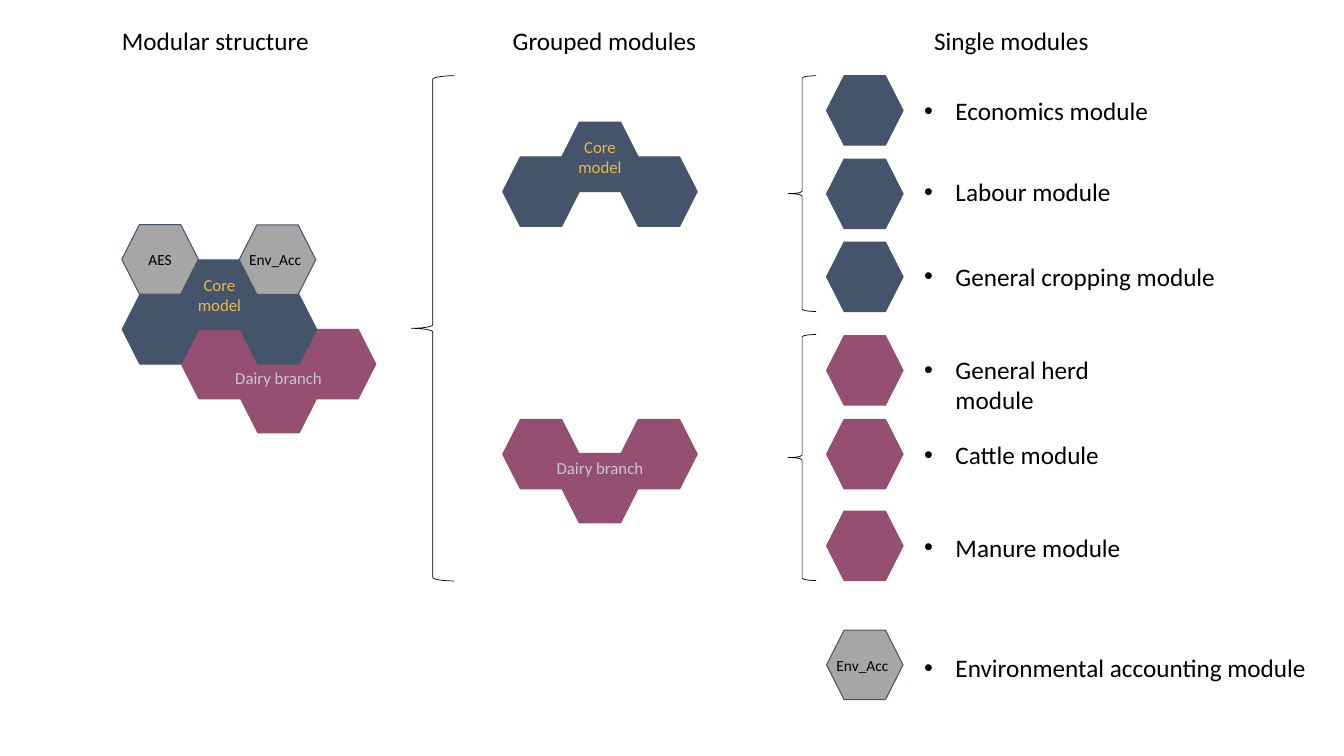
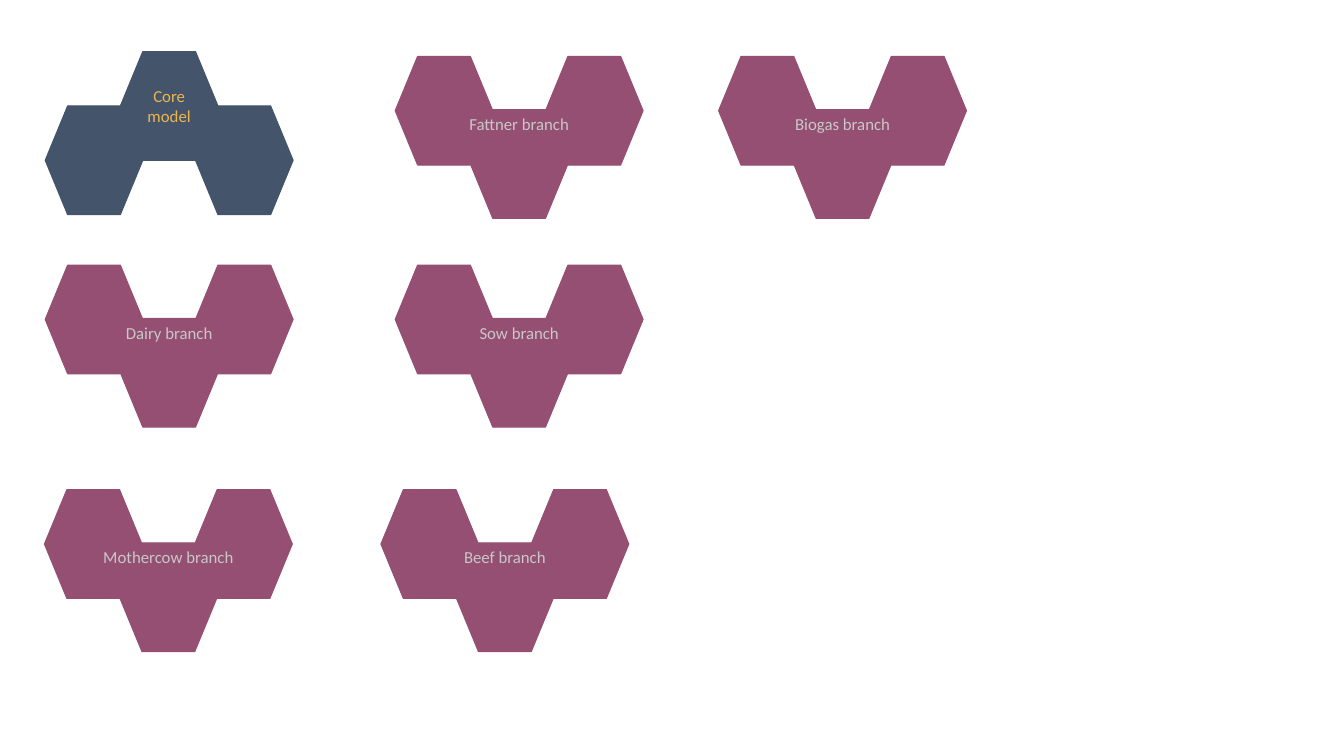
import collections
import pptx
import pptx.dml.color
import pptx.enum.shapes
import pptx.enum.text
import pptx.util
from lxml import etree
from pptx.oxml.ns import qn

Cm = pptx.util.Cm
Pt = pptx.util.Pt
RGBColor = pptx.dml.color.RGBColor
Align = pptx.enum.text.PP_ALIGN
Anchor = pptx.enum.text.MSO_ANCHOR

NAVY = RGBColor(0x44, 0x54, 0x6A)
PLUM = RGBColor(0x95, 0x4F, 0x72)
GREY = RGBColor(0xA6, 0xA6, 0xA6)
GOLD = RGBColor(0xEC, 0xB5, 0x4E)
SILVER = RGBColor(0xC8, 0xC8, 0xC8)
BLACK = RGBColor(0, 0, 0)
FONT = "Calibri"

# Proportions of one hexagon and of a cluster of three
CORNER = 0.23
COLUMN_STEP = 0.77
CORE_STEP = 0.5
BRANCH_STEP = 0.49
LABEL_SHARE = 0.88

Box = collections.namedtuple("Box", "left top width height")
Size = collections.namedtuple("Size", "width height")
SMALL = Size(1.93, 1.75)
LARGE = Size(2.46, 2.74)


def write_text(frame, text, size, color, align=Align.LEFT):
    frame.word_wrap = True
    para = frame.paragraphs[0]
    para.alignment = align
    span = para.add_run()
    span.text = text
    span.font.name = FONT
    span.font.size = Pt(size)
    span.font.color.rgb = color
    return para


def add_label(shapes, box, text, size=18, color=BLACK, align=Align.LEFT):
    label = shapes.add_textbox(*map(Cm, box))
    label.text_frame.vertical_anchor = Anchor.TOP
    return write_text(label.text_frame, text, size, color, align)


def add_bullet(para):
    """Give the paragraph a round bullet with a hanging indent."""
    props = para._p.get_or_add_pPr()
    props.set("marL", str(Cm(0.79)))
    props.set("indent", str(-Cm(0.79)))
    etree.SubElement(props, qn("a:buFont")).set("typeface", "Arial")
    etree.SubElement(props, qn("a:buChar")).set("char", "•")


def add_hexagon(shapes, box, fill, line=None):
    left, top, width, height = box
    inset = CORNER * width
    middle, right, bottom = top + height / 2, left + width, top + height
    outline = [(left + inset, top), (right - inset, top), (right, middle),
               (right - inset, bottom), (left + inset, bottom)]
    builder = shapes.build_freeform(Cm(left), Cm(middle))
    builder.add_line_segments([(Cm(x), Cm(y)) for x, y in outline], close=True)
    hexagon = builder.convert_to_shape()
    hexagon.shadow.inherit = False
    hexagon.fill.solid()
    hexagon.fill.fore_color.rgb = fill
    hexagon.line.color.rgb = line or fill
    hexagon.line.width = Pt(0.75)
    hexagon.text_frame.vertical_anchor = Anchor.MIDDLE
    return hexagon


def add_extension(shapes, box, text, align=Align.LEFT):
    hexagon = add_hexagon(shapes, box, GREY, NAVY)
    write_text(hexagon.text_frame, text, 11, BLACK, align)


def add_core(shapes, left, top, size):
    """Three hexagons, the named one raised in the middle."""
    group = shapes.add_group_shape().shapes
    step = COLUMN_STEP * size.width
    core = add_hexagon(group, Box(left + step, top, *size), NAVY)
    write_text(core.text_frame, "Core model", 12, GOLD, Align.CENTER)
    for x in (left, left + 2 * step):
        add_hexagon(group, Box(x, top + CORE_STEP * size.height, *size), NAVY)


def add_branch(shapes, left, top, size, text):
    """Three hexagons, the middle one lowered, with a label across them."""
    group = shapes.add_group_shape().shapes
    step = COLUMN_STEP * size.width
    drop = BRANCH_STEP * size.height
    for column, y in enumerate((top, top + drop, top)):
        add_hexagon(group, Box(left + column * step, y, *size), PLUM)
    total = 2 * step + size.width
    width = LABEL_SHARE * total
    label = Box(left + (total - width) / 2, top + drop - 0.02, width, 0.22 * size.height)
    add_label(group, label, text, 12, SILVER, Align.CENTER)


def add_brace(shapes, box):
    brace = shapes.add_shape(pptx.enum.shapes.MSO_SHAPE.LEFT_BRACE, *map(Cm, box))
    brace.shadow.inherit = False
    brace.fill.background()
    brace.line.color.rgb = BLACK
    brace.line.width = Pt(0.5)


def add_module_text(shapes, left, top, width, text):
    add_bullet(add_label(shapes, Box(left, top, width, 2.54), text))


def add_module_list(shapes, left, brace, fill, modules):
    """A brace followed by one hexagon and one bullet for each module."""
    add_brace(shapes, brace)
    for top, text_top, width, text in modules:
        add_hexagon(shapes, Box(left, top, *SMALL), fill)
        add_module_text(shapes, left + 2.21, text_top, width, text)


def build_structure(page):
    shapes = page.shapes
    for left, title in ((2.82, "Modular structure"), (12.67, "Grouped modules"),
                        (23.29, "Single modules")):
        add_label(shapes, Box(left, 0.51, 5.38, 1.12), title)

    add_branch(shapes, 4.57, 8.3, SMALL, "Dairy branch")
    add_core(shapes, 3.08, 6.55, SMALL)
    add_extension(shapes, Box(6.03, 5.67, *SMALL), "Env_Acc")
    add_extension(shapes, Box(3.07, 5.66, *SMALL), "AES", Align.CENTER)

    add_brace(shapes, Box(10.36, 1.91, 1.09, 12.73))
    add_core(shapes, 12.67, 3.08, SMALL)
    add_branch(shapes, 12.67, 10.57, SMALL, "Dairy branch")

    modules_left = 20.83
    add_module_list(shapes, modules_left, Box(19.86, 1.91, 0.71, 5.94), NAVY, (
        (1.91, 2.29, 6.63, "Economics module"),
        (4.01, 4.32, 6.63, "Labour module"),
        (6.1, 6.45, 8.2, "General cropping module"),
    ))
    add_module_list(shapes, modules_left, Box(19.86, 8.43, 0.71, 6.2), PLUM, (
        (8.46, 8.81, 6.63, "General herd module"),
        (10.57, 10.95, 6.63, "Cattle module"),
        (12.88, 13.28, 8.2, "Manure module"),
    ))
    add_extension(shapes, Box(modules_left, 15.88, *SMALL), "Env_Acc")
    add_module_text(shapes, modules_left + 2.21, 16.31, 10.2,
                    "Environmental accounting module")


def build_branches(page):
    add_core(page.shapes, 1.14, 1.3, LARGE)
    for left, top, text in (
        (1.14, 6.68, "Dairy branch"),
        (1.12, 12.34, "Mothercow branch"),
        (9.6, 12.34, "Beef branch"),
        (9.96, 6.68, "Sow branch"),
        (9.96, 1.42, "Fattner branch"),
        (18.11, 1.42, "Biogas branch"),
    ):
        add_branch(page.shapes, left, top, LARGE, text)


def main():
    deck = pptx.Presentation()
    deck.slide_width, deck.slide_height = Cm(33.87), Cm(19.05)
    blank = deck.slide_layouts[6]
    for build in (build_structure, build_branches):
        build(deck.slides.add_slide(blank))
    deck.save("out.pptx")


if __name__ == "__main__":
    main()
